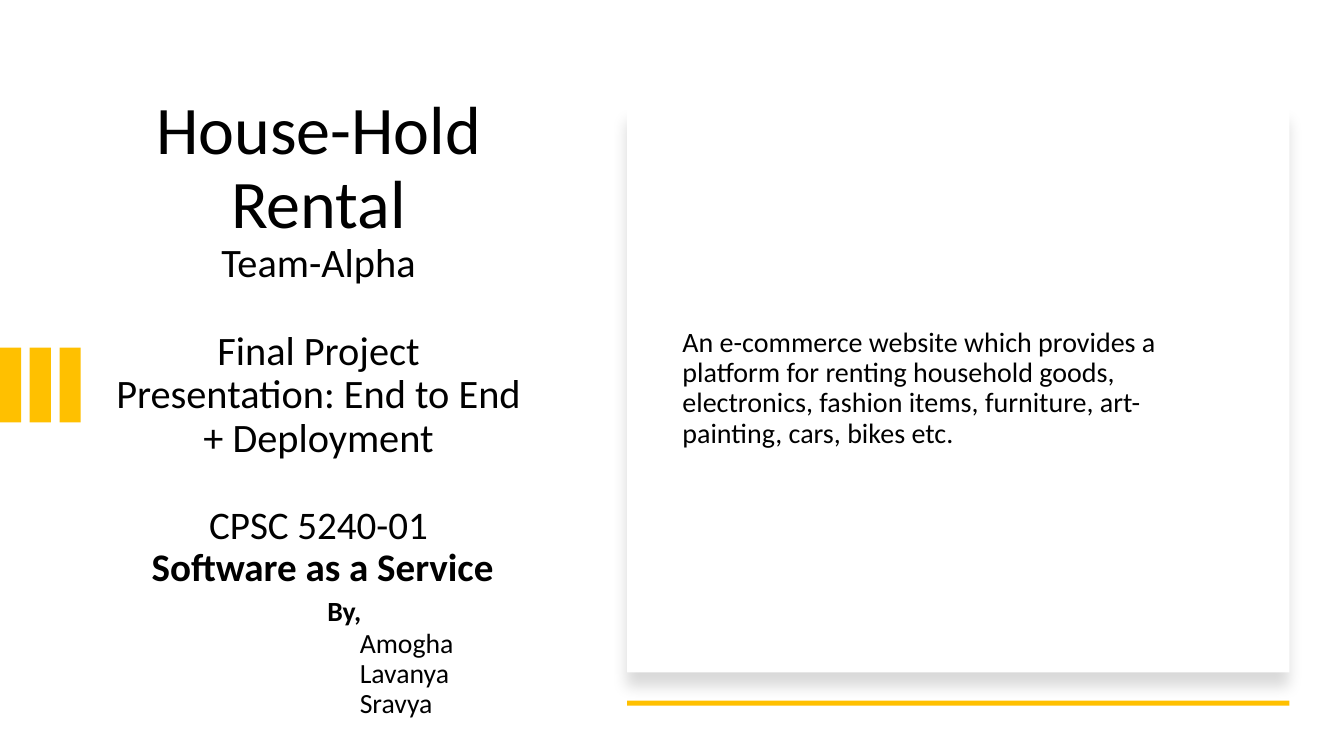
from dataclasses import dataclass

from lxml.etree import SubElement
from pptx import Presentation
from pptx.dml.color import RGBColor
from pptx.enum.shapes import MSO_SHAPE
from pptx.enum.text import MSO_ANCHOR, PP_ALIGN
from pptx.oxml.ns import qn
from pptx.util import Inches, Pt


@dataclass(frozen=True)
class Theme:
    """Colours, font and type sizes of the slide."""

    font: str = "Calibri"
    text: str = "000000"
    accent: str = "FFC000"
    card: str = "FFFFFF"
    title: float = 48.6
    subtitle: float = 28.8
    course: float = 27.9
    names: float = 19.8
    body: float = 20


THEME = Theme()


def add_rectangle(page, left, top, width, height, color):
    """Add a plain filled rectangle without line or shadow."""
    box = page.shapes.add_shape(
        MSO_SHAPE.RECTANGLE, Inches(left), Inches(top), Inches(width), Inches(height)
    )
    box.shadow.inherit = False
    box.fill.solid()
    box.fill.fore_color.rgb = RGBColor.from_string(color)
    box.line.fill.background()
    return box


def add_soft_shadow(box):
    """Give a shape a faint shadow that falls straight down."""
    effects = box._element.spPr.find(qn("a:effectLst"))
    shadow = SubElement(
        effects, qn("a:outerShdw"), blurRad=str(Pt(11)), dist=str(Pt(10)),
        dir="5400000", algn="t", rotWithShape="0",
    )
    color = SubElement(shadow, qn("a:srgbClr"), val=THEME.text)
    SubElement(color, qn("a:alpha"), val="15000")


def add_text_frame(page, left, top, width, height, anchor):
    """Add a wrapping text box and return its frame."""
    box = page.shapes.add_textbox(
        Inches(left), Inches(top), Inches(width), Inches(height)
    )
    frame = box.text_frame
    frame.word_wrap = True
    frame.vertical_anchor = anchor
    return frame


def write_paragraph(frame, text, size, align=PP_ALIGN.CENTER, before=0, after=0,
                    indent=0, bold=False):
    """Write text into the empty first paragraph or a new one."""
    para = frame.paragraphs[0] if not frame.text else frame.add_paragraph()
    para._p.get_or_add_pPr().set("marL", str(Inches(indent)))
    para.alignment = align
    para.line_spacing = 0.9
    para.space_before = Pt(before)
    para.space_after = Pt(after)
    span = para.add_run()
    span.text = text
    span.font.name = THEME.font
    span.font.size = Pt(size)
    span.font.bold = bold
    span.font.color.rgb = RGBColor.from_string(THEME.text)


def add_title(page):
    """Add the title, course and team column."""
    frame = add_text_frame(page, 1.03, 0.95, 4.26, 6.25, MSO_ANCHOR.TOP)
    frame.margin_top = frame.margin_bottom = 0
    line_gap = 31.6
    write_paragraph(frame, "House-Hold Rental", THEME.title)
    write_paragraph(frame, "Team-Alpha", THEME.subtitle)
    write_paragraph(frame, "Final Project Presentation: End to End + Deployment",
                    THEME.subtitle, before=line_gap)
    write_paragraph(frame, "CPSC 5240-01", THEME.course, before=line_gap)
    write_paragraph(frame, "Software as a Service", THEME.course, indent=0.08, bold=True)
    write_paragraph(frame, "By,", THEME.names, PP_ALIGN.LEFT, before=5.5, after=1.5,
                    indent=2.12, bold=True)
    for name in ("Amogha", "Lavanya", "Sravya"):
        write_paragraph(frame, name, THEME.names, PP_ALIGN.LEFT, indent=2.44)


def add_description(page):
    """Add the white card with the project description."""
    card_left, card_width = 6.22, 6.57
    add_soft_shadow(add_rectangle(page, card_left, 1.07, card_width, 5.6, THEME.card))
    frame = add_text_frame(page, 6.67, 1.5, 5.71, 4.71, MSO_ANCHOR.MIDDLE)
    write_paragraph(
        frame,
        "An e-commerce website which provides a  platform for renting household goods, "
        "electronics, fashion items, furniture, art-painting, cars, bikes etc.",
        THEME.body, PP_ALIGN.LEFT, after=6,
    )
    add_rectangle(page, card_left, 6.95, card_width, 0.05, THEME.accent)


def main():
    """Build the slide and save the deck."""
    deck = Presentation()
    deck.slide_width = Inches(13.33)
    deck.slide_height = Inches(7.5)
    page = deck.slides.add_slide(deck.slide_layouts[6])
    add_title(page)
    for index in range(3):
        add_rectangle(page, index * 0.295, 3.45, 0.21, 0.74, THEME.accent)
    add_description(page)
    deck.save("out.pptx")


if __name__ == "__main__":
    main()
